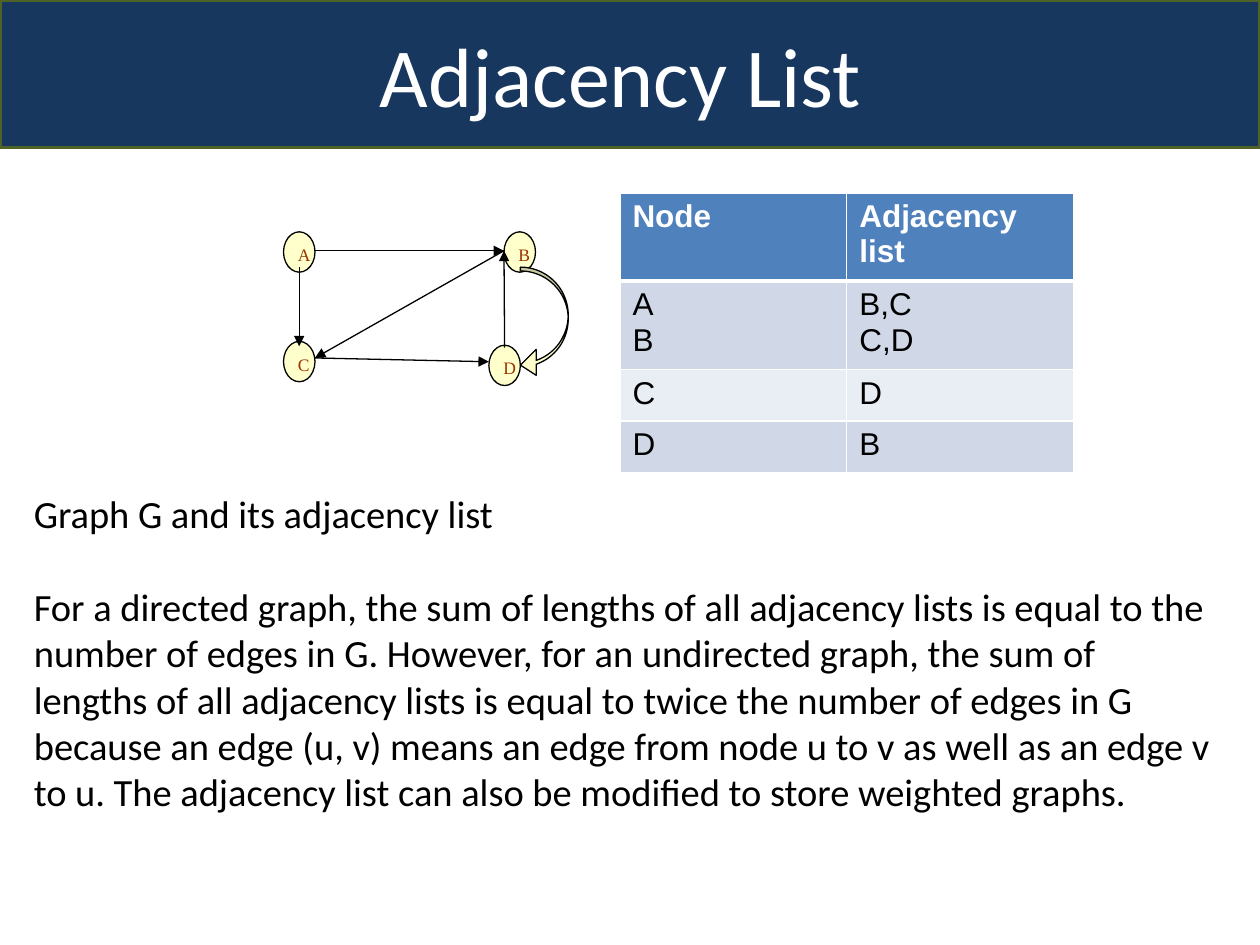
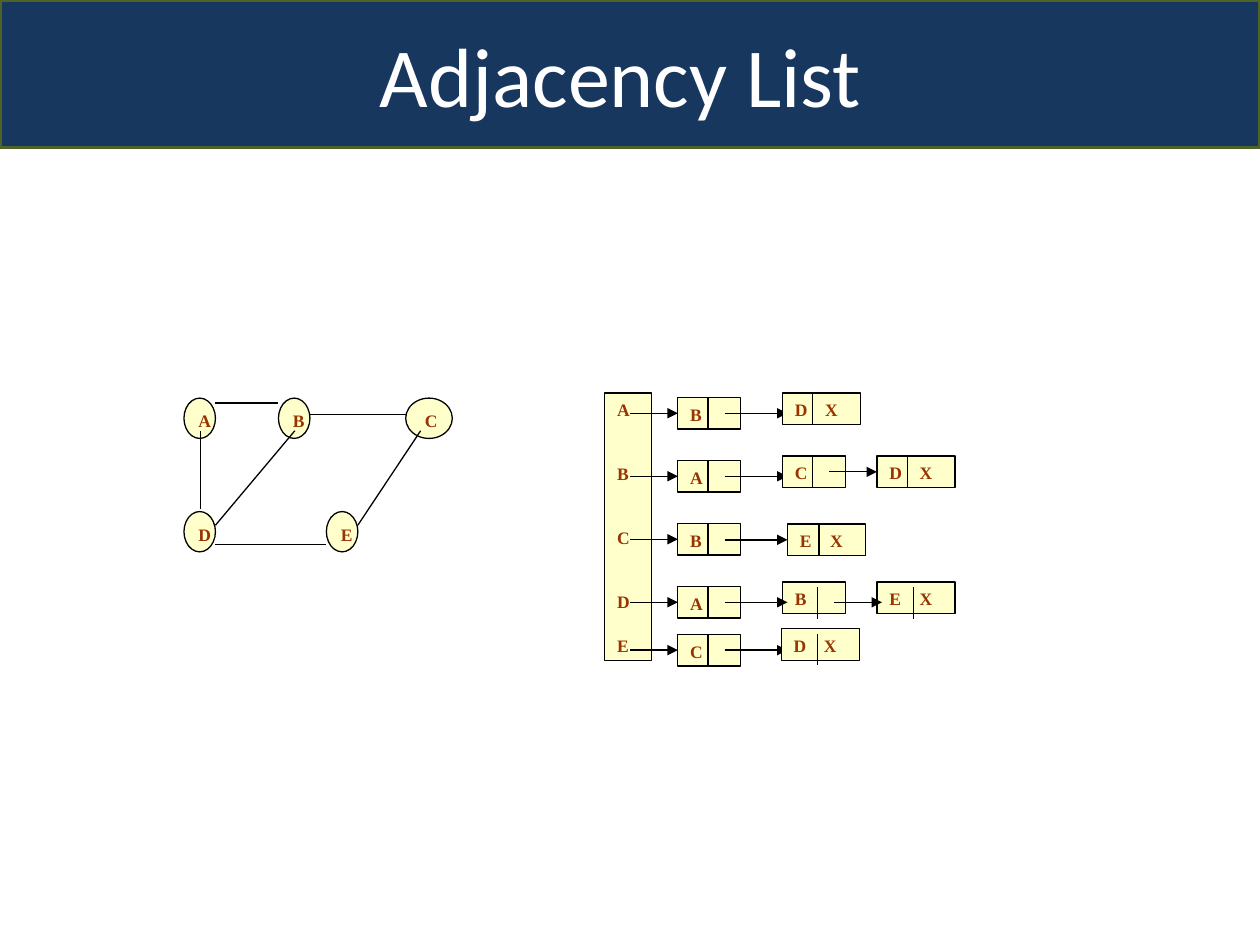
from dataclasses import dataclass
from pptx import Presentation
from pptx.dml.color import RGBColor
from pptx.enum.shapes import MSO_CONNECTOR, MSO_SHAPE
from pptx.enum.text import MSO_ANCHOR, PP_ALIGN
from pptx.oxml.ns import qn
from pptx.util import Inches, Pt
from lxml import etree

ELLIPSE, RECTANGLE = MSO_SHAPE.OVAL, MSO_SHAPE.RECTANGLE
BAND, CURVED_ARROW = MSO_SHAPE.ROUNDED_RECTANGLE, MSO_SHAPE.CURVED_LEFT_ARROW
STRAIGHT = MSO_CONNECTOR.STRAIGHT
TOP, MIDDLE = MSO_ANCHOR.TOP, MSO_ANCHOR.MIDDLE
LEFT, CENTER = PP_ALIGN.LEFT, PP_ALIGN.CENTER
LEFT_SIDE = 1


@dataclass(frozen=True)
class Theme:
    band: str = "17375E"
    band_line: str = "4F6228"
    white: str = "FFFFFF"
    black: str = "000000"
    node: str = "FFFFCC"
    node_text: str = "993300"
    header: str = "4F81BD"
    stripes: tuple = ("E9EDF4", "D0D8E8")
    title_font: str = "Calibri"
    node_font: str = "Times New Roman"
    table_font: str = "Arial"
    title_size: float = 48
    body_size: float = 22
    table_size: float = 18
    node_size: float = 10
    thin: float = 0.75


THEME = Theme()
WIDTH, HEIGHT = 10, 7.5
TITLE = "Adjacency List "
BODY = [
    "Graph G and its adjacency list",
    "For a directed graph, the sum of lengths of all adjacency lists is equal to the number of "
    "edges in G. However, for an undirected graph, the sum of lengths of all adjacency lists is "
    "equal to twice the number of edges in G because an edge (u, v) means an edge from node u to "
    "v as well as an edge v to u. The adjacency list can also be modified to store weighted graphs.",
]
TABLE = [
    ("Node", "Adjacency list"),
    ("A\nB", "B,C\nC,D"),
    ("C", "D"),
    ("D", "B"),
]

NODE_WIDTH, NODE_HEIGHT = 0.25, 0.32
# Edge ends are shares of the node's width and height.
DIRECTED_NODES = {"A": (2.25, 1.84), "B": (4, 1.84), "C": (2.25, 2.71), "D": (3.88, 2.74)}
DIRECTED_EDGES = [
    ("A", (0.5, 0.88), "C", (0.5, 0.12)),
    ("B", (0, 0.47), "C", (1, 0.41)),
    ("C", (1, 0.41), "D", (0, 0.41)),
    ("D", (0.5, 0.06), "B", (0, 0.47)),
    ("A", (1, 0.47), "B", (0, 0.47)),
]
UNDIRECTED_NODES = {
    "A": (1.46, 3.16), "B": (2.21, 3.16), "C": (3.22, 3.16, 0.37),
    "D": (1.46, 4.06), "E": (2.59, 4.06),
}
UNDIRECTED_EDGES = [
    ("E", (1, 0.34), "C", (0.32, 0.81)),
    ("B", (1, 0.41), "C", (0, 0.41)),
    ("D", (1, 0.81), "E", (0, 0.81)),
    ("D", (1, 0.34), "B", (0.52, 0.81)),
    ("D", (0.52, -0.06), "A", (0.52, 0.81)),
    ("A", (1, 0.12), "B", (0, 0.12)),
]

JOINED, ABOVE, BELOW = "joined", "above", "below"
CELL_HEIGHT, CELL_WIDTH, LAST_CELL_WIDTH = 0.25, 0.5, 0.62
VERTICES = "ABCDE"
VERTEX_GAPS = [0, 24.5, 24.5, 24.5, 13]
# Arrow height and first letter, then cells: text, left, top, divider x, divider top,
# arrow start, arrow end, arrow mode.
LIST_ROWS = [
    (3.28, "B", [("D\tX", 6.21, 3.12, 6.45, 3.12, 5.75, 6.25, BELOW)]),
    (3.78, "A", [("C", 6.21, 3.62, 6.45, 3.62, 5.75, 6.25, BELOW),
                 ("D\tX", 6.96, 3.62, 7.2, 3.62, 6.58, 6.96, JOINED)]),
    (4.28, "B", [("E\tX", 6.25, 4.16, 6.5, 4.16, 5.75, 6.25, JOINED)]),
    (4.78, "A", [("B", 6.21, 4.62, 6.49, 4.66, 5.75, 6.25, ABOVE),
                 ("E\tX", 6.96, 4.62, 7.25, 4.66, 6.62, 7, ABOVE)]),
    (5.16, "C", [("D\tX", 6.2, 4.99, 6.49, 5.03, 5.75, 6.25, BELOW)]),
]


def color(value):
    return RGBColor.from_string(value)


def style(paragraph, font_name, size, font_color, bold=False, align=LEFT):
    paragraph.alignment = align
    font = paragraph.font
    font.name, font.size, font.bold = font_name, Pt(size), bold
    font.color.rgb = color(font_color)


def add_box(slide, kind, left, top, width, height, fill=THEME.node, line=THEME.black,
            line_width=THEME.thin):
    shape = slide.shapes.add_shape(kind, *map(Inches, (left, top, width, height)))
    shape.shadow.inherit = False
    shape.fill.solid()
    shape.fill.fore_color.rgb = color(fill)
    shape.line.color.rgb = color(line)
    shape.line.width = Pt(line_width)
    return shape


def add_labelled(slide, kind, left, top, width, height, text, bold):
    shape = add_box(slide, kind, left, top, width, height)
    frame = shape.text_frame
    frame.vertical_anchor = TOP
    frame.text = text
    for paragraph in frame.paragraphs:
        if "\t" in text:
            tabs = etree.SubElement(paragraph._p.get_or_add_pPr(), qn("a:tabLst"))
            etree.SubElement(tabs, qn("a:tab"), pos=str(Inches(0.24)), algn="l")
        style(paragraph, THEME.node_font, THEME.node_size, THEME.node_text, bold)
    return shape


def add_line(slide, start, end, arrow=False):
    connector = slide.shapes.add_connector(STRAIGHT, *map(Inches, (*start, *end)))
    connector.line.color.rgb = color(THEME.black)
    connector.line.width = Pt(THEME.thin)
    if arrow:
        etree.SubElement(connector.line._get_or_add_ln(), qn("a:tailEnd"), type="triangle")
    etree.SubElement(connector._element.spPr, qn("a:effectLst"))
    return connector


def add_slide(presentation):
    slide = presentation.slides.add_slide(presentation.slide_layouts[6])
    band = add_box(slide, BAND, 0, 0, WIDTH, 1.17, THEME.band, THEME.band_line, 2)
    band.adjustments[0] = 0
    frame = band.text_frame
    frame.vertical_anchor = MIDDLE
    frame.text = TITLE
    style(frame.paragraphs[0], THEME.title_font, THEME.title_size, THEME.white, align=CENTER)
    return slide


def add_graph(slide, nodes, edges, directed):
    def point(name, share):
        left, top, *width = nodes[name]
        node_width = width[0] if width else NODE_WIDTH
        return left + share[0] * node_width, top + share[1] * NODE_HEIGHT

    for name, (left, top, *width) in nodes.items():
        add_labelled(slide, ELLIPSE, left, top, width[0] if width else NODE_WIDTH,
                     NODE_HEIGHT, name, not directed)
    for start, start_share, end, end_share in edges:
        add_line(slide, point(start, start_share), point(end, end_share), directed)


def set_borders(cell, bottom):
    properties = cell._tc.get_or_add_tcPr()
    sides = [("a:lnL", 1), ("a:lnR", 1), ("a:lnT", 1), ("a:lnB", bottom)]
    for position, (side, width) in enumerate(sides):
        border = etree.Element(qn(side), w=str(Pt(width)))
        fill = etree.SubElement(border, qn("a:solidFill"))
        etree.SubElement(fill, qn("a:srgbClr"), val=THEME.white)
        properties.insert(position, border)


def add_adjacency_table(slide):
    row_height, column_width = 0.41, 1.8
    rows, columns = len(TABLE), len(TABLE[0])
    table = slide.shapes.add_table(
        rows, columns, Inches(4.92), Inches(1.53),
        Inches(columns * column_width), Inches(rows * row_height)).table
    for row, texts in enumerate(TABLE):
        header = row == 0
        for column, text in enumerate(texts):
            cell = table.cell(row, column)
            cell.text = text
            cell.fill.solid()
            cell.fill.fore_color.rgb = color(THEME.header if header else THEME.stripes[row % 2])
            set_borders(cell, 3 if header else 1)
            for paragraph in cell.text_frame.paragraphs:
                style(paragraph, THEME.table_font, THEME.table_size,
                      THEME.white if header else THEME.black, header)


def add_body(slide):
    box = slide.shapes.add_textbox(*map(Inches, (0.17, 3.84, 9.58, 2.69)))
    frame = box.text_frame
    frame.word_wrap = True
    frame.text = "\n".join(BODY)
    for paragraph in frame.paragraphs:
        style(paragraph, THEME.title_font, THEME.body_size, THEME.black)
    frame.paragraphs[0].space_after = Pt(26.85)


def add_cell(slide, text, left, top, divider_x, divider_top):
    width = LAST_CELL_WIDTH if "\t" in text else CELL_WIDTH
    cell = add_labelled(slide, RECTANGLE, left, top, width, CELL_HEIGHT, text, True)
    add_line(slide, (divider_x, divider_top), (divider_x, divider_top + CELL_HEIGHT))
    return cell


def add_linked_lists(slide):
    column = add_labelled(slide, RECTANGLE, 4.8, 3.12, 0.37, 2.12, "\n".join(VERTICES), True)
    for paragraph, gap in zip(column.text_frame.paragraphs, VERTEX_GAPS):
        paragraph.space_before = Pt(gap)
    for arrow_y, first, cells in LIST_ROWS:
        top = arrow_y - CELL_HEIGHT / 2
        head = add_cell(slide, first, 5.38, top, 5.62, top)
        add_line(slide, (5, arrow_y), (5.38, arrow_y), True).end_connect(head, LEFT_SIDE)
        for text, left, top, divider_x, divider_top, start, end, mode in cells:
            y = top + CELL_HEIGHT / 2 if mode == JOINED else arrow_y
            if mode == BELOW:
                add_line(slide, (start, y), (end, y), True)
            cell = add_cell(slide, text, left, top, divider_x, divider_top)
            if mode != BELOW:
                arrow = add_line(slide, (start, y), (end, y), True)
                if mode == JOINED:
                    arrow.end_connect(cell, LEFT_SIDE)


def main():
    presentation = Presentation()
    presentation.slide_width, presentation.slide_height = Inches(WIDTH), Inches(HEIGHT)

    slide = add_slide(presentation)
    add_graph(slide, DIRECTED_NODES, DIRECTED_EDGES, directed=True)
    curve = add_box(slide, CURVED_ARROW, 4.13, 2.12, 0.38, 0.88)
    for position, value in enumerate((0.08, 0.54, 0.33)):
        curve.adjustments[position] = value
    add_body(slide)
    add_adjacency_table(slide)

    slide = add_slide(presentation)
    add_graph(slide, UNDIRECTED_NODES, UNDIRECTED_EDGES, directed=False)
    add_linked_lists(slide)

    presentation.save("out.pptx")


if __name__ == "__main__":
    main()
